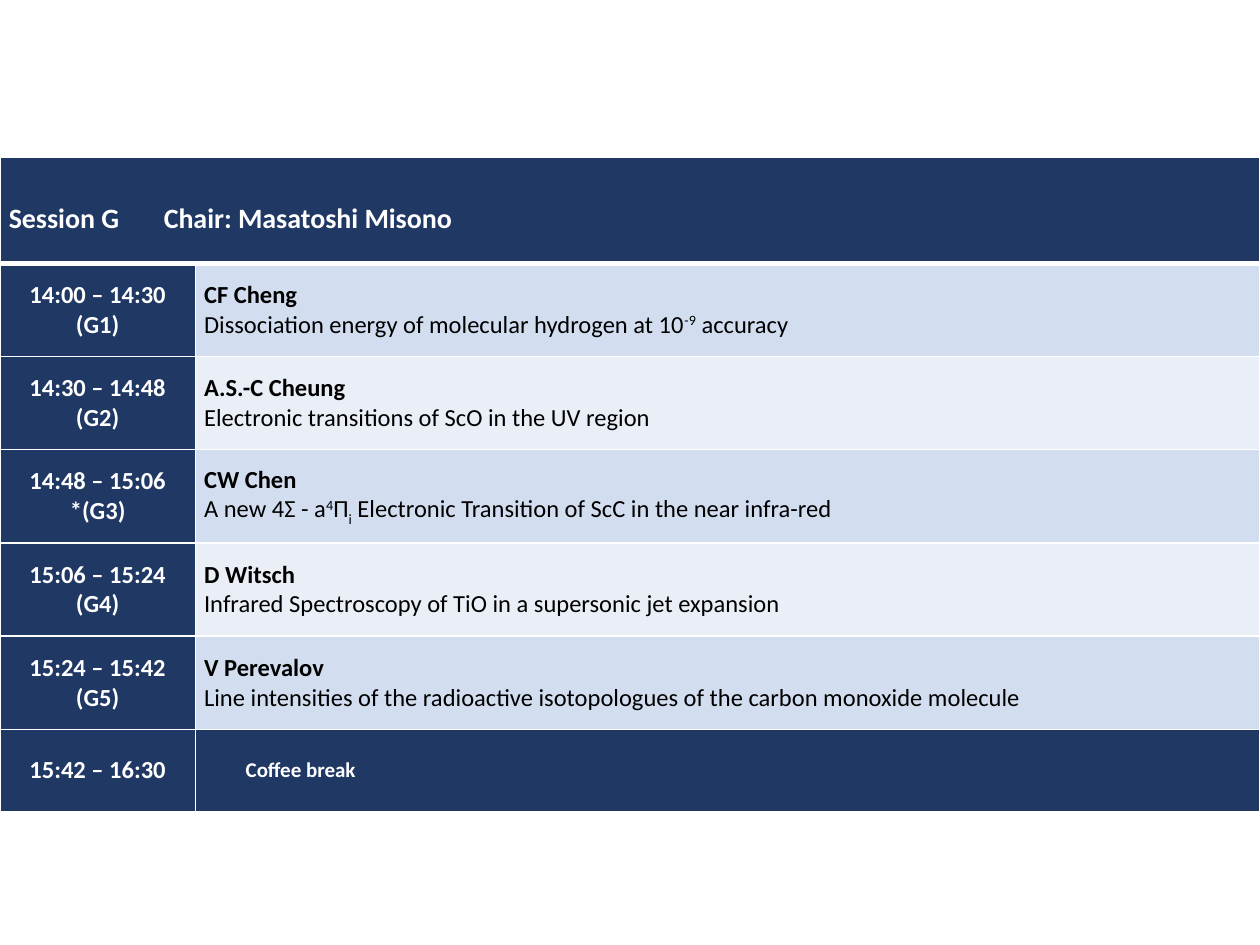
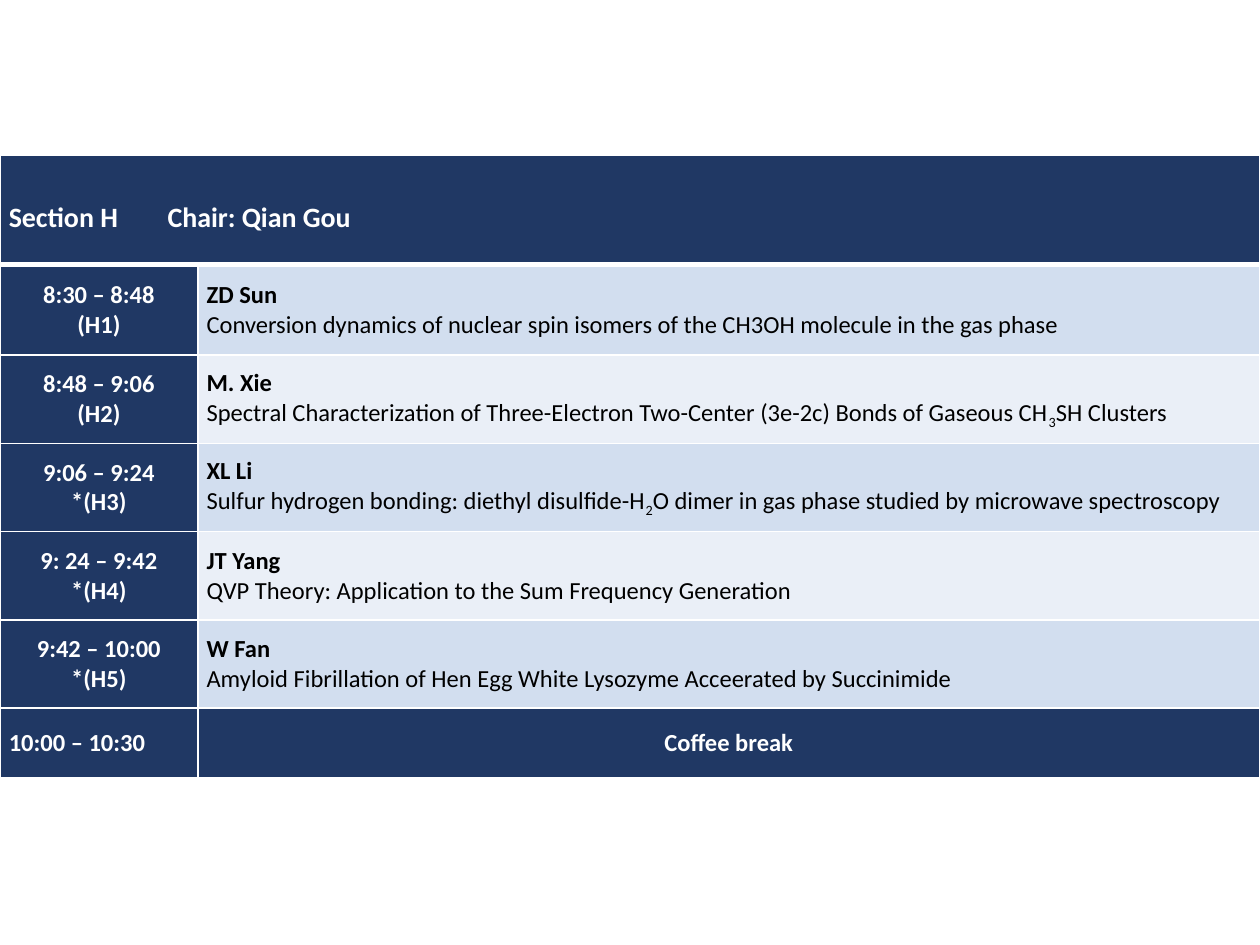
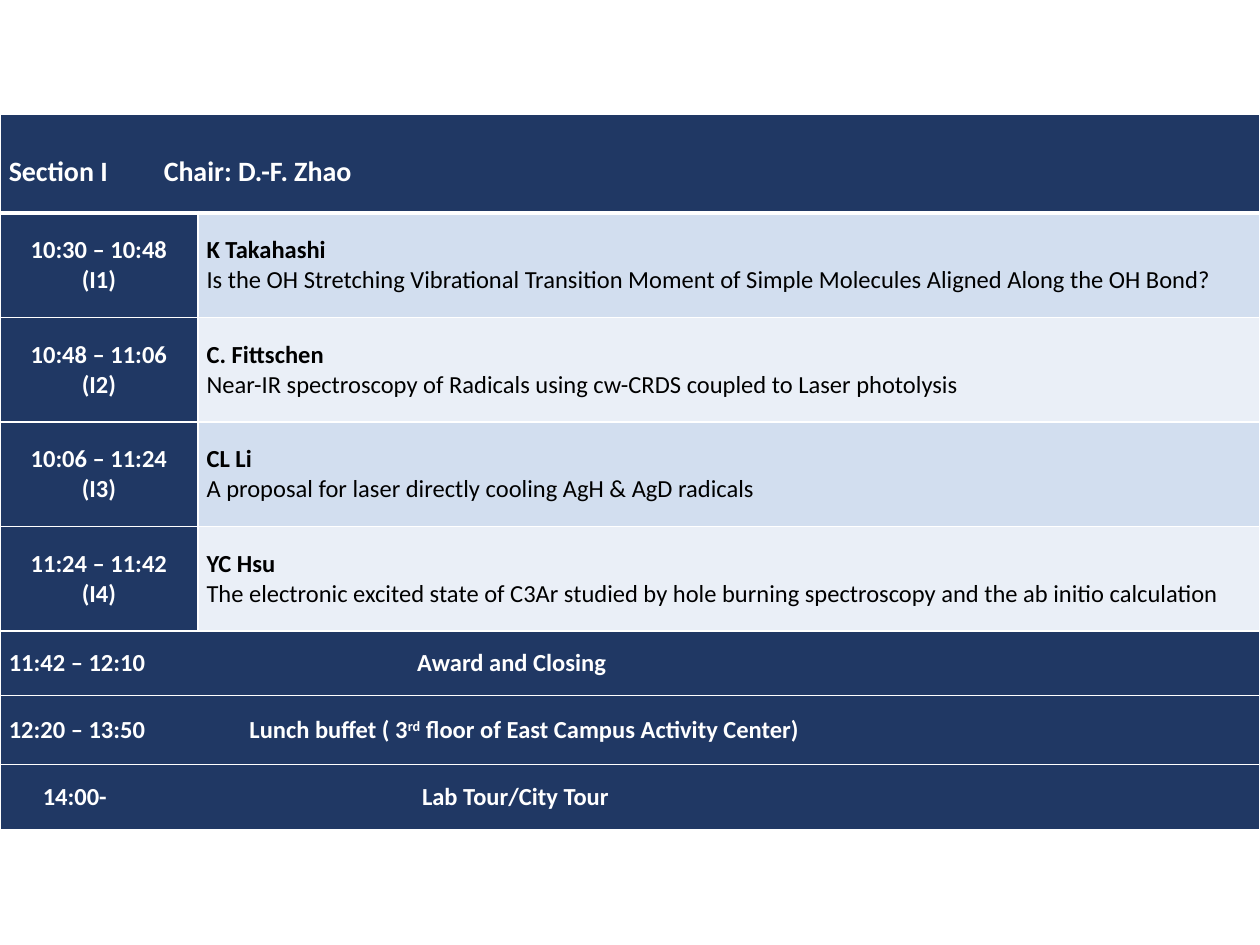
from lxml import etree
from pptx import Presentation
from pptx.dml.color import RGBColor
from pptx.enum.text import MSO_ANCHOR, PP_ALIGN
from pptx.oxml.ns import qn
from pptx.util import Inches, Pt

CENTER = PP_ALIGN.CENTER
JUSTIFY = PP_ALIGN.JUSTIFY
LEFT = PP_ALIGN.LEFT
MIDDLE = MSO_ANCHOR.MIDDLE

COLORS = {
    "navy": "203864",
    "band_dark": "D2DEEF",
    "band_light": "EAEFF7",
    "white": "FFFFFF",
    "black": "000000",
}
FONT = "Calibri"
BODY_SIZE = 14
HEADER_SIZE = 16
THIN, THICK = 1, 3
SUPER, SUB = 30000, -25000
SLIDE_WIDTH, SLIDE_HEIGHT = 10, 7.5

SESSIONS = [
    {
        "top": 1.25,
        "time_width": 1.55,
        "heights": [0.84] + [0.74] * 5 + [0.65],
        "header": ("Session G", "Chair: Masatoshi Misono", 1.23),
        "talks": [
            ("14:00 – 14:30", "(G1)", "CF Cheng",
             ["Dissociation energy of molecular hydrogen at 10", ("-9", SUPER), " accuracy"]),
            ("14:30 – 14:48", "(G2)", "A.S.-C Cheung",
             ["Electronic transitions of ScO in the UV region"]),
            ("14:48 – 15:06", "*(G3)", "CW Chen",
             ["A new 4Σ - a", ("4", SUPER), "Π", ("i", SUB),
              " Electronic Transition of ScC in the near infra-red"]),
            ("15:06 – 15:24", "(G4)", "D Witsch",
             ["Infrared Spectroscopy of TiO in a supersonic jet expansion"]),
            ("15:24 – 15:42", "(G5)", "V Perevalov",
             ["Line intensities of the radioactive isotopologues of the carbon monoxide molecule"]),
        ],
        "coffee": {"time": "15:42 – 16:30", "time_align": CENTER,
                   "align": LEFT, "size": 12, "indent": 0.33},
    },
    {
        "top": 1.23,
        "time_width": 1.57,
        "heights": [0.87, 0.72] + [0.7] * 4 + [0.55],
        "header": ("Section H", "Chair: Qian Gou", 1.26),
        "talks": [
            ("8:30 – 8:48", "(H1)", "ZD Sun",
             ["Conversion dynamics of nuclear spin isomers of the CH3OH molecule in the gas phase"]),
            ("8:48 – 9:06", "(H2)", "M. Xie",
             ["Spectral Characterization of Three-Electron Two-Center (3e-2c) Bonds of Gaseous CH",
              ("3", SUB), "SH Clusters"]),
            ("9:06 – 9:24", "*(H3)", "XL Li",
             ["Sulfur hydrogen bonding: diethyl disulfide-H", ("2", SUB),
              "O dimer in gas phase studied by microwave spectroscopy"]),
            ("9: 24 – 9:42", "*(H4)", "JT Yang",
             ["QVP Theory: Application to the Sum Frequency Generation"]),
            ("9:42 – 10:00", "*(H5)", "W Fan",
             ["Amyloid Fibrillation of Hen Egg White Lysozyme Acceerated by Succinimide"]),
        ],
        "coffee": {"time": "10:00 – 10:30", "time_align": JUSTIFY,
                   "align": CENTER, "size": BODY_SIZE, "indent": 0},
    },
    {
        "top": 0.91,
        "time_width": 1.57,
        "heights": [0.78] + [0.83] * 4 + [0.51, 0.55, 0.52],
        "header": ("Section I", "Chair: D.-F. Zhao", 1.23),
        "talks": [
            ("10:30 – 10:48", "(I1)", "K Takahashi",
             ["Is the OH Stretching Vibrational Transition Moment of Simple Molecules "
              "Aligned Along the OH Bond?"]),
            ("10:48 – 11:06", "(I2)", "C. Fittschen",
             ["Near-IR spectroscopy of Radicals using cw-CRDS coupled to Laser photolysis"]),
            ("10:06 – 11:24", "(I3)", "CL Li",
             ["A proposal for laser directly cooling AgH & AgD radicals"]),
            ("11:24 – 11:42", "(I4)", "YC Hsu",
             ["The electronic excited state of C3Ar studied by hole burning spectroscopy "
              "and the ab initio calculation"]),
        ],
        "closing": [
            (["11:42 – 12:10\tAward and Closing"], [3.24]),
            (["12:20 – 13:50\tLunch buffet ( 3", ("rd", SUPER),
              " floor of East Campus Activity Center)"], [1.91]),
            (["\t14:00-\tLab Tour/City Tour"], [0.27, 3.28]),
        ],
    },
]


def set_borders(cell, top, bottom):
    properties = cell._tc.get_or_add_tcPr()
    for side, width in (("L", THIN), ("R", THIN), ("T", top), ("B", bottom)):
        line = etree.SubElement(properties, qn(f"a:ln{side}"), w=str(Pt(width)))
        fill = etree.SubElement(line, qn("a:solidFill"))
        etree.SubElement(fill, qn("a:srgbClr"), val=COLORS["white"])


def style_cell(cell, fill, top=THIN, bottom=THIN):
    cell.vertical_anchor = MIDDLE
    cell.margin_left = cell.margin_right = Inches(0.07)
    cell.margin_top = cell.margin_bottom = 0
    set_borders(cell, top, bottom)
    cell.fill.solid()
    cell.fill.fore_color.rgb = RGBColor.from_string(COLORS[fill])


def write_spans(para, spans, color="white", bold=True, size=BODY_SIZE, align=JUSTIFY):
    para.alignment = align
    for span in spans:
        text, baseline = (span, 0) if isinstance(span, str) else span
        run = para.add_run()
        run.text = text
        run.font.name = FONT
        run.font.size = Pt(size)
        run.font.bold = bold
        run.font.color.rgb = RGBColor.from_string(COLORS[color])
        if baseline:
            run.font._element.set("baseline", str(baseline))


def set_tab_stops(para, positions):
    tab_list = etree.SubElement(para._p.get_or_add_pPr(), qn("a:tabLst"))
    for position in positions:
        etree.SubElement(tab_list, qn("a:tab"), pos=str(Inches(position)), algn="l")


def merge_row(table, row, bottom=THIN):
    first, last = table.cell(row, 0), table.cell(row, 1)
    first.merge(last)
    for cell in (first, last):
        style_cell(cell, "navy", bottom=bottom)
    return first.text_frame.paragraphs[0]


def fill_header(table, name, chair, chair_position):
    para = merge_row(table, 0, bottom=THICK)
    write_spans(para, [f"{name}\t{chair}"], size=HEADER_SIZE)
    para.line_spacing = 1.5
    set_tab_stops(para, [chair_position])


def fill_talk(table, row, time, code, speaker, title):
    top = THICK if row == 1 else THIN
    slot, talk = table.cell(row, 0), table.cell(row, 1)
    style_cell(slot, "navy", top=top)
    style_cell(talk, "band_dark" if row % 2 else "band_light", top=top)
    write_spans(slot.text_frame.paragraphs[0], [time], align=CENTER)
    write_spans(slot.text_frame.add_paragraph(), [code], align=CENTER)
    write_spans(talk.text_frame.paragraphs[0], [speaker], color="black")
    write_spans(talk.text_frame.add_paragraph(), title, color="black", bold=False)


def fill_coffee(table, row, time, time_align, align, size, indent):
    slot, pause = table.cell(row, 0), table.cell(row, 1)
    for cell in (slot, pause):
        style_cell(cell, "navy")
    write_spans(slot.text_frame.paragraphs[0], [time], align=time_align)
    para = pause.text_frame.paragraphs[0]
    write_spans(para, ["Coffee break"], size=size, align=align)
    if indent:
        para._p.get_or_add_pPr().set("indent", str(Inches(indent)))


def fill_closing(table, row, spans, tab_stops):
    para = merge_row(table, row)
    write_spans(para, spans)
    set_tab_stops(para, tab_stops)


def add_schedule(page, top, time_width, heights):
    frame = page.shapes.add_table(
        len(heights), 2, 0, Inches(top), Inches(SLIDE_WIDTH), Inches(sum(heights)))
    table = frame.table
    table.first_row = table.horz_banding = False
    for column, width in zip(table.columns, (time_width, SLIDE_WIDTH - time_width)):
        column.width = Inches(width)
    for row, height in zip(table.rows, heights):
        row.height = Inches(height)
    return table


def add_session(deck, session):
    page = deck.slides.add_slide(deck.slide_layouts[6])
    table = add_schedule(page, session["top"], session["time_width"], session["heights"])
    fill_header(table, *session["header"])
    for row, talk in enumerate(session["talks"], start=1):
        fill_talk(table, row, *talk)
    next_row = len(session["talks"]) + 1
    if "coffee" in session:
        fill_coffee(table, next_row, **session["coffee"])
    for row, event in enumerate(session.get("closing", []), start=next_row):
        fill_closing(table, row, *event)


def main():
    deck = Presentation()
    deck.slide_width = Inches(SLIDE_WIDTH)
    deck.slide_height = Inches(SLIDE_HEIGHT)
    for session in SESSIONS:
        add_session(deck, session)
    deck.save("out.pptx")


if __name__ == "__main__":
    main()
